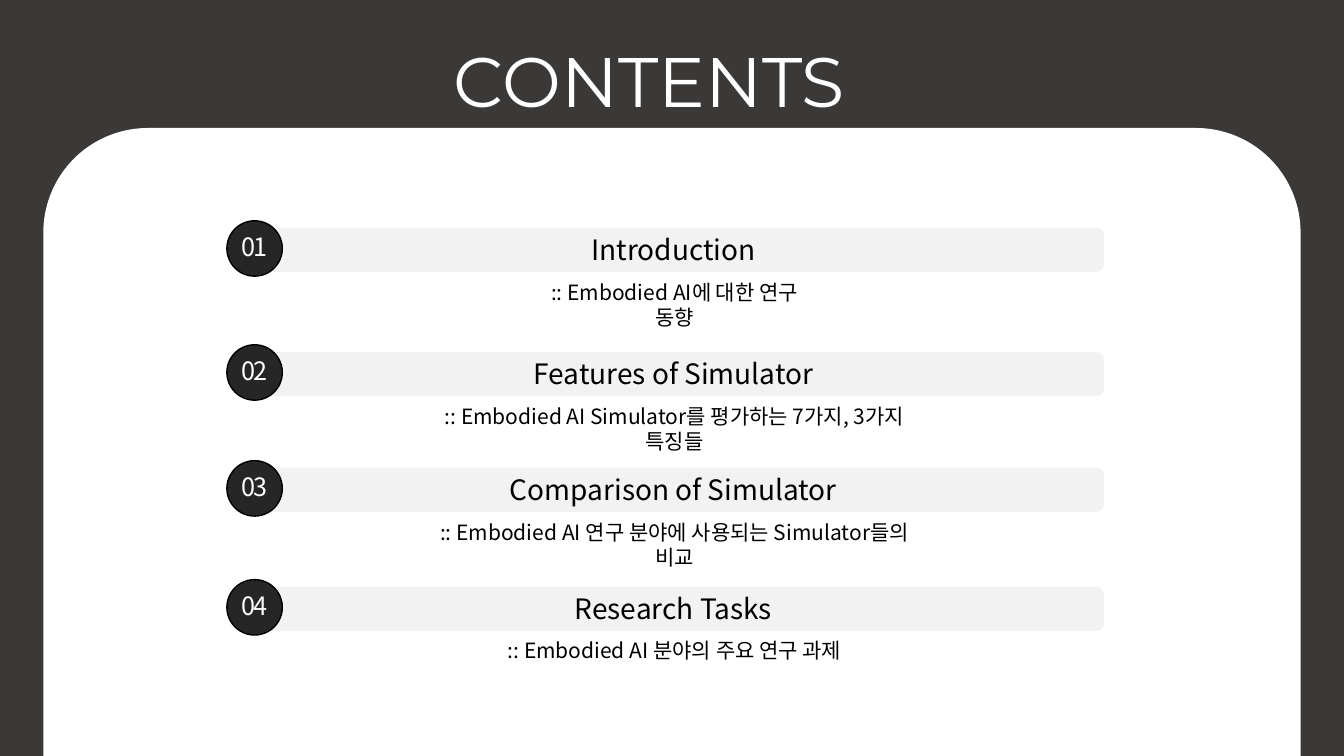
from dataclasses import dataclass

from lxml import etree
from pptx import Presentation
from pptx.dml.color import RGBColor
from pptx.enum import shapes, text
from pptx.oxml.ns import qn
from pptx.util import Inches, Pt


@dataclass(frozen=True)
class Theme:
    """Colours, fonts and type sizes of the deck."""
    background: str = "3B3838"
    white: str = "FFFFFF"
    black: str = "000000"
    bar: str = "F2F2F2"
    badge: str = "262626"
    title_font: str = "Montserrat"
    body_font: str = "Noto Sans CJK KR"
    title_size: int = 50
    heading_size: int = 20
    number_size: int = 18
    detail_size: int = 15


THEME = Theme()
CENTER, LEFT = text.PP_ALIGN.CENTER, text.PP_ALIGN.LEFT

# Heading, detail, top of the bar, width of the detail box
SECTIONS = [
    ("Introduction", ":: Embodied AI에 대한 연구 동향", 2.26, 3.07),
    ("Features of Simulator",
     ":: Embodied AI Simulator를 평가하는 7가지, 3가지 특징들", 3.49, 5.36),
    ("Comparison of Simulator",
     ":: Embodied AI 연구 분야에 사용되는 Simulator들의 비교", 4.64, 5.25),
    ("Research Tasks", ":: Embodied AI 분야의 주요 연구 과제", 5.82, 3.51),
]


def add_panel(parent, kind, box, fill, line=None):
    """Add a flat preset shape in box (left, top, width, height)."""
    shape = parent.add_shape(kind, *map(Inches, box))
    shape.shadow.inherit = False
    shape.fill.solid()
    shape.fill.fore_color.rgb = RGBColor.from_string(fill)
    if line:
        shape.line.color.rgb = RGBColor.from_string(line)
        shape.line.width = Pt(1)
    else:
        shape.line.fill.background()
    return shape


def add_label(parent, box, words, size, color, font=THEME.body_font,
              align=CENTER, spacing=None):
    """Add a one-run text box; spacing is the letter spacing in points."""
    label = parent.add_textbox(*map(Inches, box))
    label.text_frame.word_wrap = True
    paragraph = label.text_frame.paragraphs[0]
    paragraph.alignment = align
    run = paragraph.add_run()
    run.text = words
    run.font.size = Pt(size)
    run.font.color.rgb = RGBColor.from_string(color)
    run.font.name = font
    properties = run.font._element
    etree.SubElement(properties, qn("a:ea"), typeface=font)
    if spacing is not None:
        properties.set("spc", str(round(spacing * 100)))


def add_badge(slide, left, top, number):
    """Add a numbered circle as a group."""
    group = slide.shapes.add_group_shape().shapes
    add_panel(group, shapes.MSO_SHAPE.OVAL, (left, top, 0.55, 0.55),
              THEME.badge, THEME.black)
    add_label(group, (left - 0.03, top + 0.06, 0.61, 0.4), f"{number:02d}",
              THEME.number_size, THEME.white, spacing=-1.5)


def add_section(slide, box, number, heading, detail, detail_width):
    """Add a heading bar in box, with its badge and the detail below."""
    left, top, width, height = box
    middle = left + width / 2 - 0.02
    add_panel(slide.shapes, shapes.MSO_SHAPE.ROUNDED_RECTANGLE, box, THEME.bar)
    add_label(slide.shapes, (middle - 2, top, 4, height), heading,
              THEME.heading_size, THEME.black)
    add_badge(slide, left - 0.2, top - 0.07, number)
    add_label(slide.shapes,
              (middle + 0.01 - detail_width / 2, top + 0.46, detail_width, 0.35),
              detail, THEME.detail_size, THEME.black)


def add_contents(slide, box):
    """Add the white page in box, the title above it and all sections."""
    left, top, width, height = box
    add_panel(slide.shapes, shapes.MSO_SHAPE.ROUND_2_SAME_RECTANGLE, box,
              THEME.white)
    add_label(slide.shapes, (left + 3.97, top - 0.95, 4.53, 0.94), "CONTENTS",
              THEME.title_size, THEME.white, THEME.title_font, LEFT)
    for number, (heading, detail, bar_top, detail_width) in enumerate(SECTIONS, 1):
        add_section(slide, (left + 2.02, bar_top, 8.5, 0.44), number, heading,
                    detail, detail_width)


def main():
    """Build and save the contents slide."""
    presentation = Presentation()
    presentation.slide_width = Inches(13.33)
    presentation.slide_height = Inches(7.5)
    slide = presentation.slides.add_slide(presentation.slide_layouts[6])
    slide.background.fill.solid()
    slide.background.fill.fore_color.rgb = RGBColor.from_string(THEME.background)
    add_contents(slide, (0.43, 1.27, 12.47, 6.23))
    presentation.save("out.pptx")


main()
